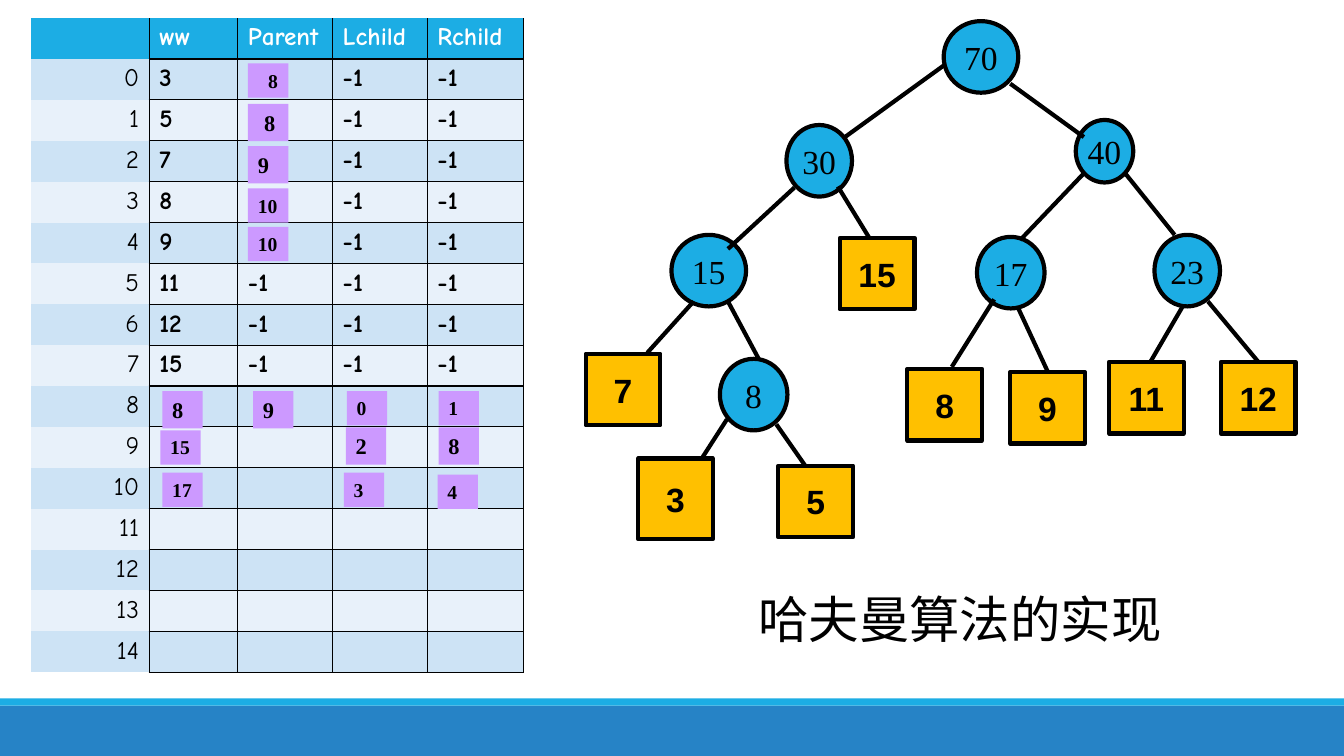
from lxml import etree
from pptx import Presentation
from pptx.dml.color import RGBColor
from pptx.enum import shapes, text
from pptx.oxml import ns
from pptx.util import Inches, Pt

BLACK = RGBColor(0, 0, 0)
WHITE = RGBColor(0xFF, 0xFF, 0xFF)
SKY = RGBColor(0x1C, 0xAD, 0xE4)
BLUE = RGBColor(0x26, 0x83, 0xC6)
DARK = RGBColor(0xCD, 0xE3, 0xF5)
PALE = RGBColor(0xE8, 0xF1, 0xFA)
GOLD = RGBColor(0xFF, 0xC0, 0x00)
LILAC = RGBColor(0xCC, 0x99, 0xFF)

SERIF = "Times New Roman"
SANS = "Arial"
COMIC = "Comic Neue"
HAN = "Noto Sans CJK SC"
NO_GRID = "{2D5ABB26-0587-4C30-8999-92F81FD0307C}"
RECT = shapes.MSO_SHAPE.RECTANGLE
OVAL = shapes.MSO_SHAPE.OVAL

HEADS = ["", "ww", "Parent", "Lchild", "Rchild"]
WIDTHS = [1.17, 0.88, 0.94, 0.94, 0.95]
WEIGHTS = [3, 5, 7, 8, 9, 11, 12, 15]
MERGED = 5  # leaves whose parent is already known
ROWS = 15

# label, left, top, width, height
INNER = [
    ("70", 9.36, 0.21, 0.74, 0.71), ("30", 7.8, 1.24, 0.65, 0.71),
    ("40", 10.67, 1.19, 0.57, 0.62), ("15", 6.66, 2.33, 0.74, 0.71),
    ("17", 9.69, 2.35, 0.67, 0.71), ("23", 11.45, 2.33, 0.65, 0.71),
    ("8", 7.14, 3.56, 0.67, 0.71),
]
LEAVES = [
    ("15", 8.33, 2.36, 0.74, 0.71), ("7", 5.81, 3.51, 0.74, 0.71),
    ("8", 9, 3.66, 0.74, 0.71), ("9", 10.02, 3.69, 0.74, 0.71),
    ("11", 11, 3.59, 0.74, 0.71), ("12", 12.11, 3.59, 0.74, 0.71),
    ("3", 6.33, 4.55, 0.74, 0.8), ("5", 7.72, 4.62, 0.74, 0.71),
]
EDGES = [
    (9.36, 0.65, 8.38, 1.36), (10.02, 0.83, 10.75, 1.36),
    (7.88, 1.86, 7.22, 2.47), (8.31, 1.85, 8.64, 2.39),
    (10.75, 1.72, 10.12, 2.38), (11.16, 1.72, 11.65, 2.33),
    (6.88, 2.99, 6.42, 3.5), (7.22, 2.99, 7.53, 3.57),
    (9.86, 2.97, 9.44, 3.64), (10.1, 3.06, 10.43, 3.77),
    (11.73, 3.04, 11.41, 3.59), (11.98, 2.99, 12.48, 3.59),
    (7.21, 4.16, 6.94, 4.58), (7.7, 4.21, 8, 4.64),
]
# label, left, top, font size, left inset
CHIPS = [
    ("8", 2.46, 0.63, 14, 0.2), ("8", 2.46, 1.03, 16, 0.16),
    ("9", 2.46, 1.45, 16, 0.1), ("10", 2.46, 1.87, 14, 0.1),
    ("10", 2.46, 2.25, 14, 0.1),
    ("0", 3.44, 3.88, 14, 0.1), ("1", 4.35, 3.88, 14, 0.1),
    ("15", 1.59, 4.27, 14, 0.1), ("2", 3.43, 4.24, 16, 0.1),
    ("8", 4.35, 4.24, 16, 0.1), ("9", 2.51, 3.88, 16, 0.1),
    ("8", 1.61, 3.88, 16, 0.1), ("17", 1.61, 4.69, 14, 0.1),
    ("3", 3.41, 4.69, 14, 0.1), ("4", 4.34, 4.71, 14, 0.1),
]


def style(par, name, size, color=BLACK, bold=False):
    font = par.font
    font.name, font.size, font.bold = name, Pt(size), bold
    font.color.rgb = color


def block(slide, kind, box, fill):
    """Add a filled shape without outline or shadow."""
    shape = slide.shapes.add_shape(kind, *map(Inches, box))
    shape.shadow.inherit = False
    shape.fill.solid()
    shape.fill.fore_color.rgb = fill
    shape.line.fill.background()
    return shape


def node(slide, kind, label, box, fill, name, bold):
    shape = block(slide, kind, box, fill)
    shape.line.color.rgb = BLACK
    shape.line.width = Pt(3)
    frame = shape.text_frame
    frame.word_wrap = False
    frame.vertical_anchor = text.MSO_ANCHOR.MIDDLE
    par = frame.paragraphs[0]
    par.text = label
    par.alignment = text.PP_ALIGN.CENTER
    style(par, name, 24, bold=bold)


def edge(slide, ends):
    line = slide.shapes.add_connector(
        shapes.MSO_CONNECTOR.STRAIGHT, *map(Inches, ends))
    line.line.color.rgb = BLACK
    line.line.width = Pt(3)
    etree.SubElement(line._element.spPr, ns.qn("a:effectLst"))


def chip(slide, label, left, top, size, inset):
    """Cover a table cell with its updated value."""
    high = 0.37 if size == 16 else 0.34
    frame = block(slide, RECT, (left, top, 0.4, high), LILAC).text_frame
    frame.word_wrap = True
    frame.margin_left, frame.margin_right = Inches(inset), 0
    frame.vertical_anchor = text.MSO_ANCHOR.TOP
    par = frame.paragraphs[0]
    par.text = label
    par.alignment = text.PP_ALIGN.LEFT
    style(par, SERIF, size, bold=True)


def rule(cell, sides):
    """Draw black borders on the given sides, in the order L, R, T, B."""
    props = cell._tc.get_or_add_tcPr()
    for side in sides:
        line = etree.SubElement(props, ns.qn("a:ln" + side), w=str(Pt(1)))
        fill = etree.SubElement(line, ns.qn("a:solidFill"))
        etree.SubElement(fill, ns.qn("a:srgbClr"), val=str(BLACK))


def values(row):
    """Return the texts of one row; row 0 is the header."""
    if row == 0:
        return HEADS
    index = row - 1
    if index < len(WEIGHTS):
        return [str(index), str(WEIGHTS[index]), "-1", "-1", "-1"]
    return [str(index), "", "", "", ""]


def grid(slide):
    frame = slide.shapes.add_table(
        ROWS + 1, len(HEADS), Inches(0.31), Inches(0.18),
        Inches(sum(WIDTHS)), Inches(6.49))
    table = frame.table
    table._tbl.tblPr.find(ns.qn("a:tableStyleId")).text = NO_GRID
    for column, width in zip(table.columns, WIDTHS):
        column.width = Inches(width)
    for row in range(ROWS + 1):
        for col, label in enumerate(values(row)):
            cell = table.cell(row, col)
            rule(cell, "R" if col == 0 else "LRB" if row == 0 else "LRTB")
            cell.fill.solid()
            cell.fill.fore_color.rgb = (
                SKY if row == 0 else DARK if row % 2 else PALE)
            par = cell.text_frame.paragraphs[0]
            par.text = label
            if col == 0:
                par.alignment = text.PP_ALIGN.RIGHT
            known = col == 2 and 1 <= row <= MERGED
            style(par, COMIC, 18, BLACK if row else WHITE,
                  bold=row == 0 or (col > 0 and not known))


def title(slide, label):
    shape = slide.shapes.title
    shape.left, shape.top = Inches(7.42), Inches(5.78)
    shape.width, shape.height = Inches(4.24), Inches(0.71)
    frame = shape.text_frame
    frame.text = label
    frame.word_wrap = False
    frame.auto_size = text.MSO_AUTO_SIZE.NONE
    frame.vertical_anchor = text.MSO_ANCHOR.TOP
    par = frame.paragraphs[0]
    par.alignment = text.PP_ALIGN.LEFT
    style(par, HAN, 36)
    props = par.runs[0]._r.get_or_add_rPr()
    etree.SubElement(props, ns.qn("a:ea"), typeface=HAN)


def main():
    deck = Presentation()
    deck.slide_width, deck.slide_height = Inches(13.33), Inches(7.5)
    slide = deck.slides.add_slide(deck.slide_layouts[5])
    block(slide, RECT, (0, 7, 13.33, 0.5), BLUE)
    block(slide, RECT, (0, 6.93, 13.33, 0.07), SKY)
    grid(slide)
    for label, *box in INNER:
        node(slide, OVAL, label, box, SKY, SERIF, False)
    for ends in EDGES:
        edge(slide, ends)
    for label, *box in LEAVES:
        node(slide, RECT, label, box, GOLD, SANS, True)
    for item in CHIPS:
        chip(slide, *item)
    title(slide, "哈夫曼算法的实现")
    deck.save("out.pptx")


if __name__ == "__main__":
    main()
